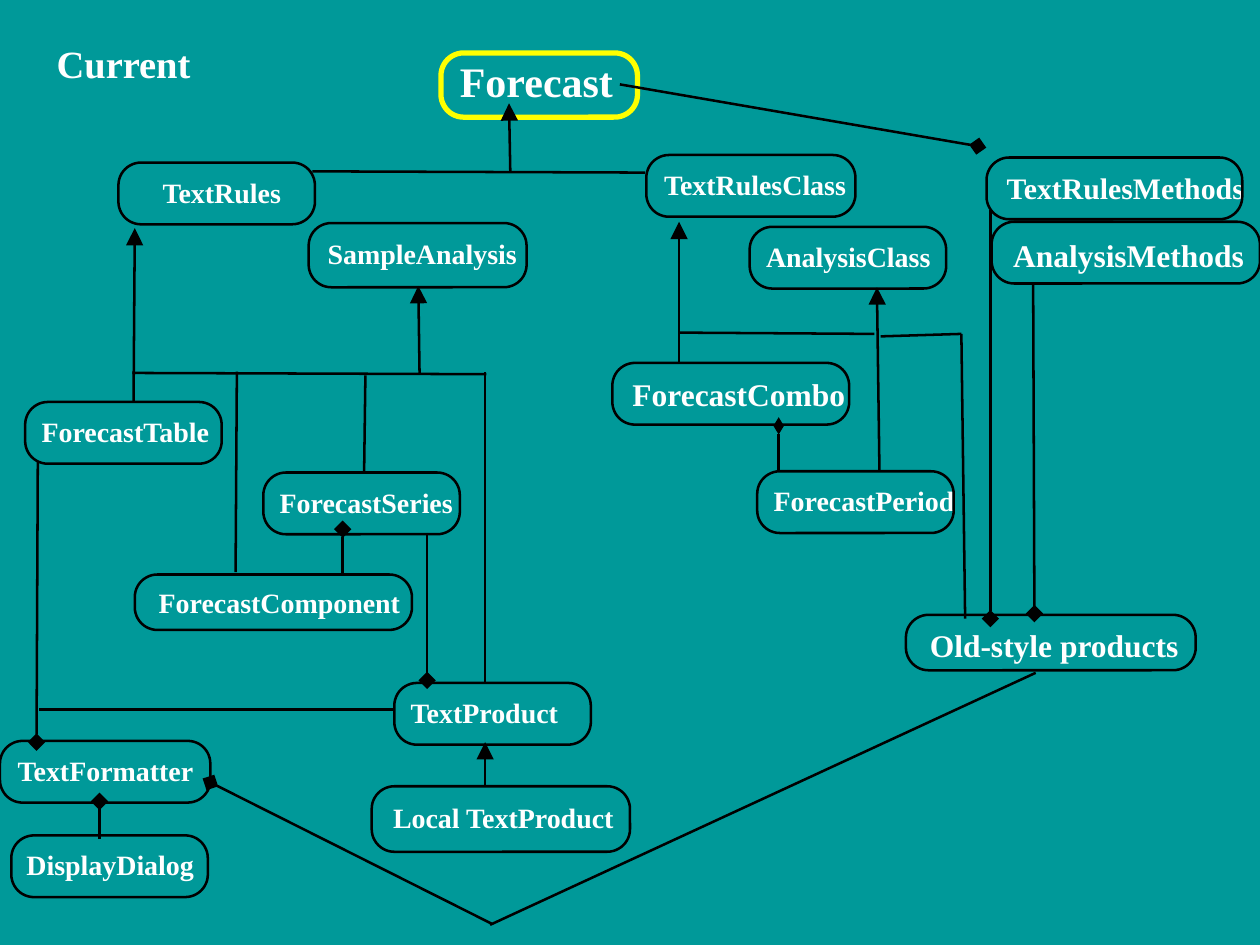
from lxml.etree import SubElement
from pptx import Presentation
from pptx.dml.color import RGBColor
from pptx.enum.shapes import MSO_CONNECTOR as Connector, MSO_SHAPE as Shape
from pptx.enum.text import MSO_ANCHOR as Anchor, PP_ALIGN as Align
from pptx.oxml.ns import qn
from pptx.util import Inches, Pt

TEAL = RGBColor(0x00, 0x99, 0x99)
BLACK = RGBColor(0x00, 0x00, 0x00)
WHITE = RGBColor(0xFF, 0xFF, 0xFF)
YELLOW = RGBColor(0xFF, 0xFF, 0x00)
FONT = "Times New Roman"
LINE_WIDTH = 1.45
CORNER_RADIUS = 0.18
LABEL_SLACK = 0.15  # spare width that keeps a label on one line

# name, box (left, top, width, height), label (indent, drop, width), options
CLASSES = [
    ("TextRules", (0.94, 1.29, 1.56, 0.49), (0.35, 0.1, 0.96), {}),
    ("Forecast", (3.5, 0.42, 1.56, 0.51), (0.15, 0.02, 1.22),
     dict(size=24, outline=YELLOW, weight=3)),
    ("SampleAnalysis", (2.45, 1.77, 1.73, 0.51), (0.15, 0.11, 1.5), {}),
    ("Local TextProduct", (2.95, 6.24, 2.05, 0.52), (0.17, 0.11, 1.78), {}),
    ("TextProduct", (3.13, 5.42, 1.56, 0.49), (0.13, 0.1, 1.2), {}),
    ("TextRulesClass", (5.13, 1.23, 1.66, 0.49), (0.14, 0.1, 1.47), {}),
    ("AnalysisMethods", (7.87, 1.76, 2.13, 0.49), (0.17, 0.11, 1.83), dict(size=18)),
    ("TextRulesMethods", (7.83, 1.25, 2.03, 0.49), (0.16, 0.1, 1.91), dict(size=17)),
    ("AnalysisClass", (5.95, 1.8, 1.56, 0.49), (0.13, 0.1, 1.31), {}),
    ("TextFormatter", (0, 5.88, 1.67, 0.49), (0.14, 0.1, 1.42), {}),
    ("ForecastTable", (0.2, 3.19, 1.56, 0.49), (0.13, 0.1, 1.36), {}),
    ("ForecastSeries", (2.09, 3.75, 1.56, 0.49), (0.13, 0.1, 1.38), {}),
    ("ForecastComponent", (1.07, 4.56, 2.2, 0.44), (0.19, 0.09, 1.92), {}),
    ("ForecastCombo", (4.86, 2.88, 1.88, 0.49), (0.16, 0.1, 1.69), dict(size=18)),
    ("ForecastPeriod", (6.01, 3.74, 1.56, 0.49), (0.13, 0.1, 1.44), {}),
    ("DisplayDialog", (0.09, 6.63, 1.56, 0.49), (0.12, 0.1, 1.33), {}),
    ("Old-style products", (7.19, 4.88, 2.3, 0.44), (0.19, 0.09, 1.98), dict(size=18)),
]

# Each link is start x, start y, end x, end y; arrowheads sit at the end.
INHERITANCE = [
    (1.06, 3.19, 1.07, 1.81),
    (3.33, 2.97, 3.32, 2.27),
    (3.85, 6.23, 3.85, 5.89),
    (4.05, 1.36, 4.04, 0.82),
    (5.39, 2.87, 5.39, 1.76),
    (6.98, 3.74, 6.96, 2.28),
]
COMPOSITION = [
    (0.3, 3.66, 0.29, 5.89),
    (3.39, 4.23, 3.39, 5.4),
    (2.72, 4.57, 2.72, 4.2),
    (4.92, 0.67, 7.76, 1.16),
    (7.86, 1.67, 7.86, 4.91),
    (8.2, 2.25, 8.21, 4.87),
    (0.79, 6.66, 0.79, 6.36),
    (3.9, 7.33, 1.67, 6.21),
]
COMBO_COMPOSITION = (6.18, 3.74, 6.18, 3.38)
BRANCHES = [
    (1.05, 2.96, 3.86, 2.97),
    (2.89, 3.75, 2.9, 2.98),
    (1.87, 4.54, 1.88, 2.95),
    (3.85, 5.41, 3.85, 2.95),
    (0.31, 5.63, 3.12, 5.63),
    (2.48, 1.36, 5.12, 1.37),
    (5.39, 2.64, 6.94, 2.65),
    (6.99, 2.67, 7.63, 2.65),
    (7.63, 2.65, 7.66, 4.91),
    (3.89, 7.34, 8.22, 5.34),
]


def add_label(shapes, text, left, top, width, size=16):
    box = (left, top, width + LABEL_SLACK, size / 60)
    label = shapes.add_textbox(*map(Inches, box))
    frame = label.text_frame
    frame.word_wrap = True
    frame.vertical_anchor = Anchor.TOP
    frame.margin_left = frame.margin_right = 0
    frame.margin_top = frame.margin_bottom = 0
    paragraph = frame.paragraphs[0]
    paragraph.alignment = Align.LEFT
    run = paragraph.add_run()
    run.text = text
    run.font.name = FONT
    run.font.size = Pt(size)
    run.font.bold = True
    run.font.color.rgb = WHITE


def add_class_box(slide, name, box, label, size=16, outline=BLACK, weight=LINE_WIDTH):
    """Group a class name with its rounded outline; label is relative to box."""
    left, top, width, height = box
    indent, drop, label_width = label
    group = slide.shapes.add_group_shape()
    add_label(group.shapes, name, left + indent, top + drop, label_width, size=size)
    frame = group.shapes.add_shape(Shape.ROUNDED_RECTANGLE, *map(Inches, box))
    frame.adjustments[0] = CORNER_RADIUS / min(width, height)
    frame.shadow.inherit = False
    frame.fill.background()
    frame.line.color.rgb = outline
    frame.line.width = Pt(weight)


def add_link(slide, ends, head=None, head_width="lg"):
    link = slide.shapes.add_connector(Connector.STRAIGHT, *map(Inches, ends))
    link.line.color.rgb = BLACK
    link.line.width = Pt(LINE_WIDTH)
    if head:
        SubElement(link.line._get_or_add_ln(), qn("a:tailEnd"),
                   type=head, w=head_width, len="lg")
    SubElement(link._element.spPr, qn("a:effectLst"))


def add_class_diagram(slide):
    for name, box, label, options in CLASSES:
        add_class_box(slide, name, box, label, **options)
    for head, links in (("triangle", INHERITANCE), ("diamond", COMPOSITION),
                        (None, BRANCHES)):
        for ends in links:
            add_link(slide, ends, head)
    add_link(slide, COMBO_COMPOSITION, "diamond", head_width="med")


def main():
    deck = Presentation()
    deck.slide_width, deck.slide_height = Inches(10), Inches(7.5)
    slide = deck.slides.add_slide(deck.slide_layouts[6])
    background = slide.background.fill
    background.solid()
    background.fore_color.rgb = TEAL
    add_class_diagram(slide)
    add_label(slide.shapes, "Current", 0.45, 0.32, 1.07, size=22)
    deck.save("out.pptx")


if __name__ == "__main__":
    main()
